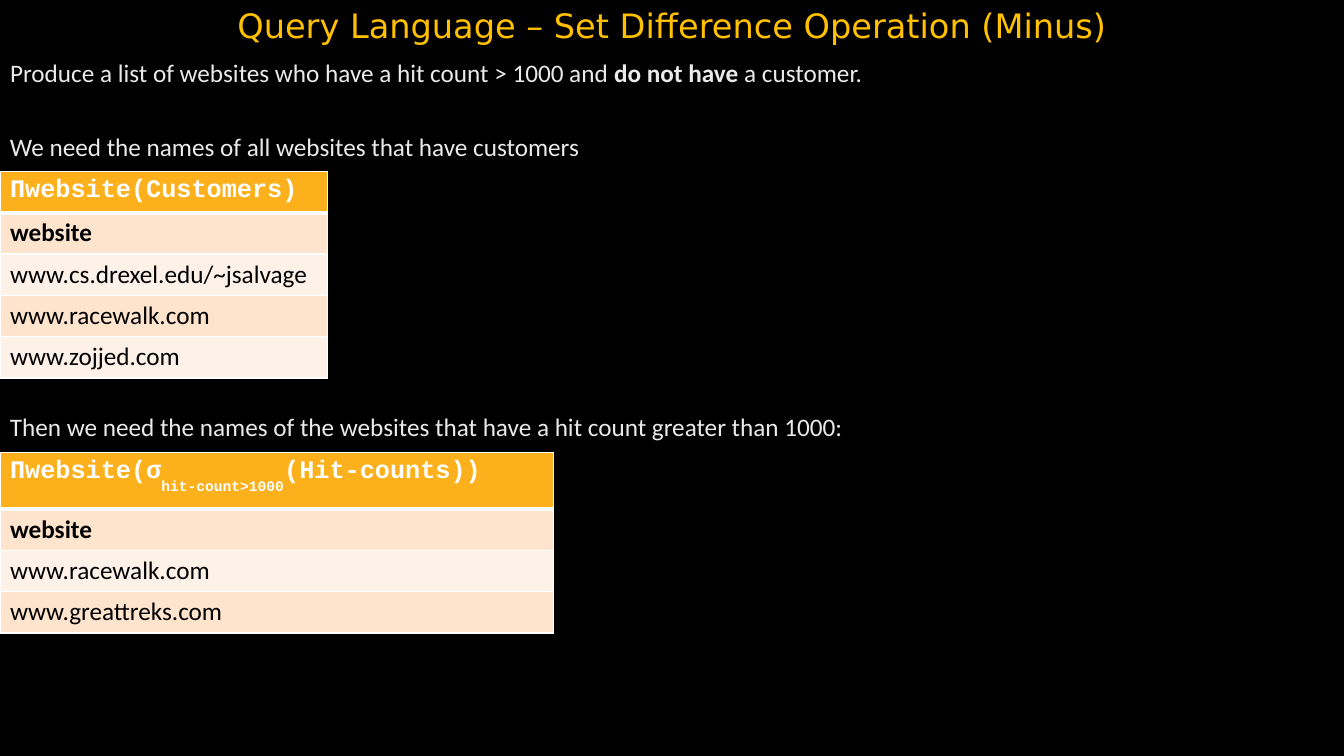
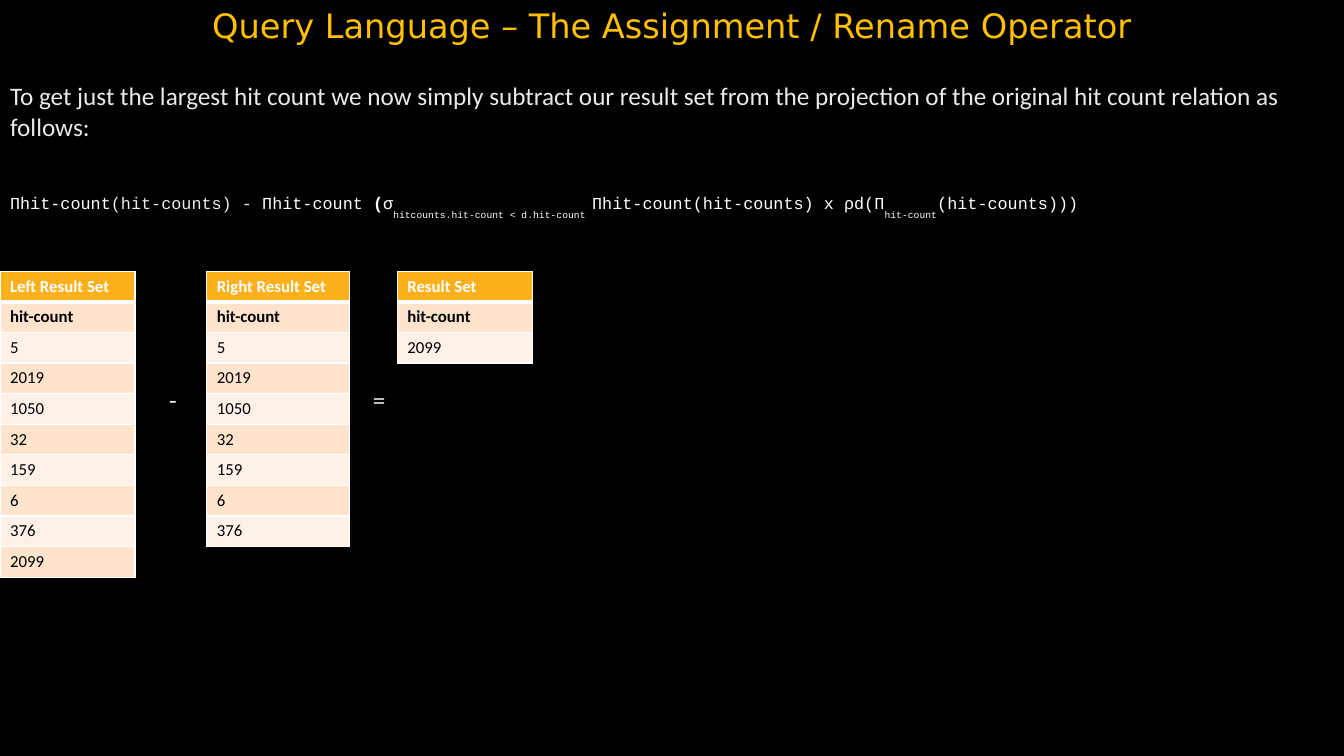
import pptx
import pptx.util
import pptx.dml.color
import pptx.enum.text
import pptx.oxml
import pptx.oxml.ns

Inches = pptx.util.Inches
Pt = pptx.util.Pt
RGBColor = pptx.dml.color.RGBColor

# Shared look
BLACK = RGBColor(0x00, 0x00, 0x00)
WHITE = RGBColor(0xFF, 0xFF, 0xFF)
PALE = RGBColor(0xEA, 0xEA, 0xEA)
GOLD = RGBColor(0xFF, 0xC0, 0x00)
AMBER = RGBColor(0xFC, 0xB1, 0x1C)
PEACH = RGBColor(0xFE, 0xE4, 0xCD)
CREAM = RGBColor(0xFE, 0xF2, 0xE8)
SANS, MONO, HEAD = "Calibri", "Courier New", "DejaVu Sans"
WIDE, HIGH = 13.33, 7.5
SUB = {"base": -50}
BOLD = {"bold": True}


def add_run(para, text, size=18, font=SANS, color=PALE, bold=False, base=0):
    run = para.add_run()
    run.text = text
    run.font.size = Pt(size)
    run.font.name = font
    run.font.color.rgb = color
    run.font.bold = bold
    if base:
        run._r.get_or_add_rPr().set("baseline", str(base * 1000))


def write(para, parts, **style):
    """Add each part, plain text or (text, changes), as one run."""
    for part in parts:
        text, change = (part, {}) if isinstance(part, str) else part
        add_run(para, text, **{**style, **change})


def place(shape, box):
    shape.left, shape.top, shape.width, shape.height = map(Inches, box)
    frame = shape.text_frame
    frame.word_wrap = True
    frame.auto_size = pptx.enum.text.MSO_AUTO_SIZE.NONE
    return frame


def start(deck, title):
    """Add a slide with its title; return it with its body placeholder."""
    slide = deck.slides.add_slide(deck.slide_layouts[1])
    frame = place(slide.shapes.title, (0, 0, WIDE, 0.5))
    frame.vertical_anchor = pptx.enum.text.MSO_ANCHOR.BOTTOM
    para = frame.paragraphs[0]
    para.alignment = pptx.enum.text.PP_ALIGN.CENTER
    write(para, [title], size=24, font=HEAD, color=GOLD)
    return slide, slide.placeholders[1]


def plain(para, before=0, line=1.0):
    """Remove the bullet and indent of a body paragraph."""
    props = para._p.get_or_add_pPr()
    props.set("marL", "0")
    props.set("indent", "0")
    props.append(pptx.oxml.parse_xml(
        "<a:buNone %s/>" % pptx.oxml.ns.nsdecls("a")))
    para.space_before = Pt(before)
    para.line_spacing = line


def add_note(slide, text, box, line=1.0):
    frame = place(slide.shapes.add_textbox(0, 0, 0, 0), box)
    para = frame.paragraphs[0]
    para.line_spacing = line
    write(para, [text])


def edge(cell, side, width):
    props = cell._tc.get_or_add_tcPr()
    border = pptx.oxml.parse_xml(
        '<a:%s %s w="%d"><a:solidFill><a:srgbClr val="%s"/></a:solidFill></a:%s>'
        % (side, pptx.oxml.ns.nsdecls("a"), Pt(width), WHITE, side))
    props.append(border)


def add_grid(slide, left, top, width, head, rows, size=18, font=SANS,
             step=0.41, first=None):
    """One-column table: amber head, bold field name, banded values."""
    first = first or step
    count = len(rows) + 1
    grid = slide.shapes.add_table(
        count, 1, Inches(left), Inches(top), Inches(width),
        Inches(first + step * len(rows))).table
    for index, parts in enumerate([head] + [[row] for row in rows]):
        grid.rows[index].height = Inches(step if index else first)
        cell = grid.cell(index, 0)
        # Borders come before the fill in the cell's XML
        for side in ("lnL", "lnR", "lnT", "lnB"):
            thick = (index, side) in ((0, "lnB"), (1, "lnT"))
            edge(cell, side, 3 if thick else 1)
        cell.fill.solid()
        cell.fill.fore_color.rgb = (
            AMBER if index == 0 else PEACH if index % 2 else CREAM)
        write(cell.text_frame.paragraphs[0], parts, size=size,
              font=SANS if index else font,
              color=BLACK if index else WHITE, bold=index < 2)


def minus(deck):
    slide, body = start(
        deck, "Query Language – Set Difference Operation (Minus)")
    para = place(body, (0, 0.58, WIDE, 0.38)).paragraphs[0]
    plain(para, line=0.8)
    write(para, ["Produce a list of websites who have a hit count > 1000 and ",
                 ("do not have", BOLD), " a customer."])

    # Websites with customers
    add_note(slide, "We need the names of all websites that have customers",
             (0, 1.31, 6.69, 0.35), 0.8)
    add_grid(slide, 0, 1.7, 3.25, ["Πwebsite(Customers)"],
             ["website", "www.cs.drexel.edu/~jsalvage",
              "www.racewalk.com", "www.zojjed.com"], font=MONO)

    # Websites with many hits
    add_note(slide, "Then we need the names of the websites that have "
             "a hit count greater than 1000:", (0, 4.03, WIDE, 0.38))
    add_grid(slide, 0, 4.49, 5.49,
             ["Πwebsite(σ", ("hit-count>1000", SUB), "(Hit-counts))"],
             ["website", "www.racewalk.com", "www.greattreks.com"],
             font=MONO, first=0.56)


def rename(deck):
    slide, body = start(
        deck, "Query Language – The Assignment / Rename Operator")
    frame = place(body, (0, 0.75, WIDE, 1.5))
    para = frame.paragraphs[0]
    plain(para)
    write(para, ["To get just the largest hit count we now simply subtract our "
                 "result set from the projection of the original hit count "
                 "relation as follows:"])

    # Formula
    para = frame.add_paragraph()
    plain(para, before=37)
    write(para, ["Πhit-count", ("(hit-counts) - ", {"color": PALE}),
                 "Πhit-count ", ("(", BOLD), "σ",
                 ("hitcounts.hit-count < d.hit-count ", SUB),
                 "Πhit-count(hit-counts) x ρd(Π", ("hit-count", SUB),
                 "(hit-counts)))"], size=12, font=MONO, color=WHITE)

    # Left set - right set = result
    shared = ["5", "2019", "1050", "32", "159", "6", "376"]
    top_hit = ["2099"]
    for left, width, head, values in (
            (0, 1.34, "Left Result Set", shared + top_hit),
            (2.05, 1.42, "Right Result Set", shared),
            (3.94, 1.34, "Result Set", top_hit)):
        add_grid(slide, left, 2.69, width, [head], ["hit-count"] + values,
                 size=12, step=0.3)
    for sign, left in (("-", 1.58), ("=", 3.6)):
        add_note(slide, sign, (left, 3.76, 0.47, 0.4))


def main():
    deck = pptx.Presentation()
    deck.slide_width, deck.slide_height = Inches(WIDE), Inches(HIGH)
    back = deck.slide_master.background.fill
    back.solid()
    back.fore_color.rgb = BLACK
    minus(deck)
    rename(deck)
    deck.save("out.pptx")


if __name__ == "__main__":
    main()
